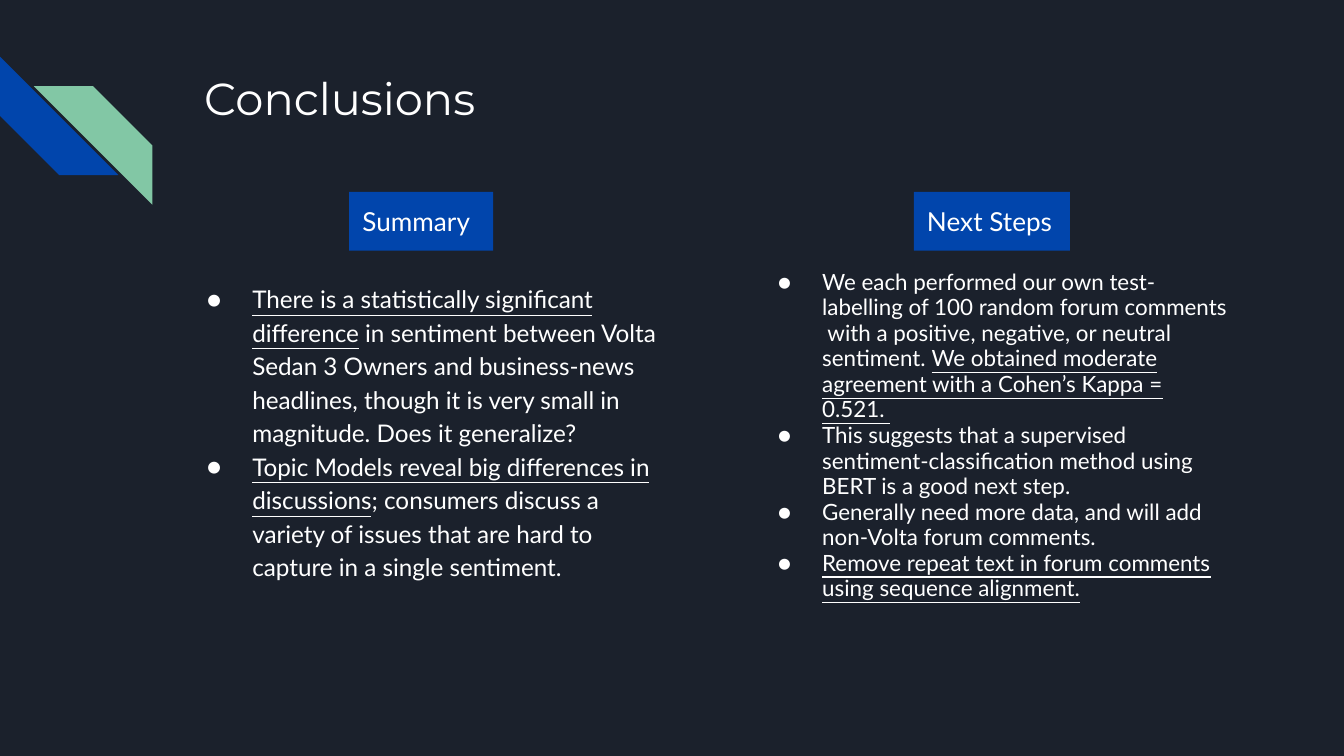
import pptx
import pptx.util
import pptx.dml.color
import pptx.enum.shapes
import pptx.enum.text
import pptx.oxml.ns
import lxml.etree

Cm = pptx.util.Cm
NAVY, BLUE, GREEN, WHITE = "1B212C", "0145AC", "82C7A5", "FFFFFF"

# Each point is a list of (text, underlined) runs.
SUMMARY = [
    [("There is a statistically significant difference", True),
     (" in sentiment between Volta Sedan 3 Owners and business-news headlines, "
      "though it is very small in magnitude. Does it generalize?", False)],
    [("Topic Models reveal big differences in discussions", True),
     ("; consumers discuss a variety of issues that are hard to capture "
      "in a single sentiment.", False)],
]
STEPS = [
    [("We each performed our own test-labelling of 100 random forum comments "
      " with a positive, negative, or neutral sentiment. ", False),
     ("We obtained moderate agreement with a Cohen’s Kappa = 0.521. ", True)],
    [("This suggests that a supervised sentiment-classification method using "
      "BERT is a good next step.", False)],
    [("Generally need more data, and will add non-Volta forum comments.", False)],
    [("Remove repeat text in forum comments using sequence alignment.", True)],
]


def paint(fill, color):
    fill.solid()
    fill.fore_color.rgb = pptx.dml.color.RGBColor.from_string(color)


def write(para, text, size, font="Lato", color=WHITE, line=False):
    run = para.add_run()
    run.text = text
    run.font.size = pptx.util.Pt(size)
    run.font.name = font
    run.font.underline = line
    paint(run.font.fill, color)


def set_frame(shape):
    """Give the text frame even margins, top anchor and left alignment."""
    frame = shape.text_frame
    frame.word_wrap = True
    frame.auto_size = pptx.enum.text.MSO_AUTO_SIZE.NONE
    frame.vertical_anchor = pptx.enum.text.MSO_ANCHOR.TOP
    frame.margin_left = frame.margin_right = Cm(0.25)
    frame.margin_top = frame.margin_bottom = Cm(0.25)
    frame.paragraphs[0].alignment = pptx.enum.text.PP_ALIGN.LEFT
    return frame


def add_block(slide, kind, left, top, width, height, color):
    shape = slide.shapes.add_shape(
        kind, Cm(left), Cm(top), Cm(width), Cm(height))
    shape.shadow.inherit = False
    shape.line.fill.background()
    paint(shape.fill, color)
    return shape


def add_stripe(slide, left, top, turn, color):
    kind = pptx.enum.shapes.MSO_SHAPE.DIAGONAL_STRIPE
    shape = add_block(slide, kind, left, top, 2.24, 2.24, color)
    shape.rotation = turn


def add_title(slide, text):
    title = slide.shapes.title
    title.left, title.top = Cm(3.61), Cm(1.09)
    title.width, title.height = Cm(19.56), Cm(2.54)
    write(set_frame(title).paragraphs[0], text, 24, font="Montserrat")


def add_label(slide, text, left, width):
    kind = pptx.enum.shapes.MSO_SHAPE.RECTANGLE
    shape = add_block(slide, kind, left, 3.63, width, 1.11, BLUE)
    write(set_frame(shape).paragraphs[0], text, 14)


def add_bullet(para, indent):
    props = para._p.get_or_add_pPr()
    props.set("marL", str(Cm(1.27)))
    props.set("indent", str(-Cm(indent)))
    name = pptx.oxml.ns.qn
    tint = lxml.etree.SubElement(props, name("a:buClr"))
    lxml.etree.SubElement(tint, name("a:srgbClr"), val=WHITE)
    lxml.etree.SubElement(props, name("a:buFont"), typeface="Lato")
    lxml.etree.SubElement(props, name("a:buChar"), char="●")


def add_list(slide, points, left, top, height, size, space, indent):
    box = slide.shapes.add_textbox(Cm(left), Cm(top), Cm(9.45), Cm(height))
    frame = set_frame(box)
    for i, point in enumerate(points):
        para = frame.add_paragraph() if i else frame.paragraphs[0]
        para.line_spacing = space
        add_bullet(para, indent)
        for text, line in point:
            write(para, text, size, line=line)


def main():
    deck = pptx.Presentation()
    deck.slide_width, deck.slide_height = Cm(25.4), Cm(14.29)
    slide = deck.slides.add_slide(deck.slide_layouts[5])
    paint(slide.background.fill, NAVY)

    add_stripe(slide, 0, 1.07, 270, BLUE)
    add_stripe(slide, 0.64, 1.63, 90, GREEN)
    add_title(slide, "Conclusions")
    add_list(slide, SUMMARY, 3.25, 5.05, 7.67, size=13, space=1.15, indent=0.86)
    add_list(slide, STEPS, 14.02, 4.85, 8.08, size=12, space=0.95, indent=0.84)
    add_label(slide, "Summary", 6.6, 2.72)
    add_label(slide, "Next Steps", 17.27, 2.95)
    deck.save("out.pptx")


if __name__ == "__main__":
    main()
